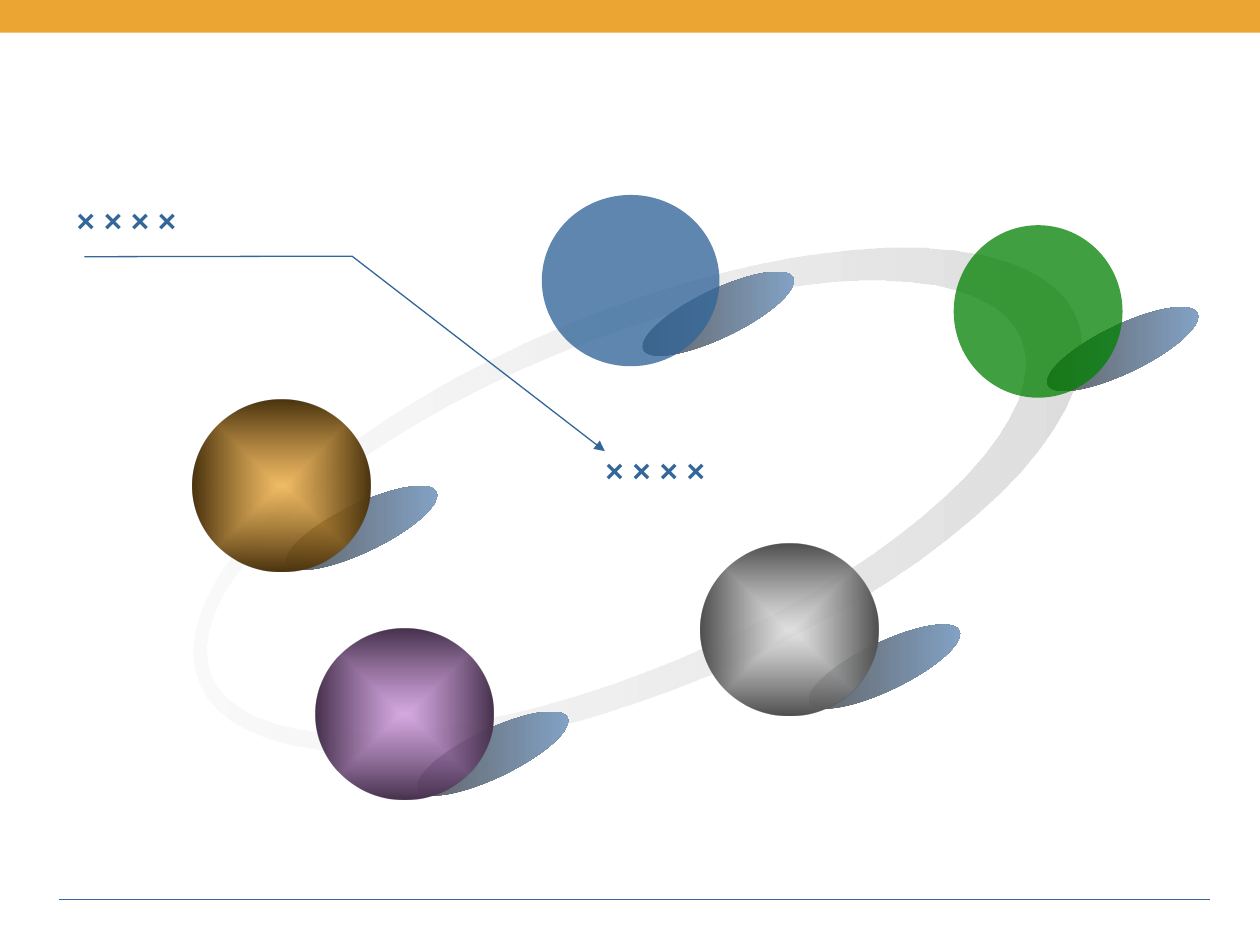
from math import cos, radians, sin

from lxml import etree
from pptx import Presentation
from pptx.dml.color import RGBColor
from pptx.enum.shapes import MSO_CONNECTOR, MSO_SHAPE
from pptx.enum.text import MSO_AUTO_SIZE, PP_ALIGN
from pptx.oxml.ns import qn
from pptx.util import Pt

RECTANGLE = MSO_SHAPE.RECTANGLE
OVAL = MSO_SHAPE.OVAL
STRAIGHT = MSO_CONNECTOR.STRAIGHT
LEFT = PP_ALIGN.LEFT
CENTER = PP_ALIGN.CENTER
FIT_SHAPE = MSO_AUTO_SIZE.SHAPE_TO_FIT_TEXT

COLORS = {
    "band": "EBA533", "blue": "336699", "green": "008000",
    "ring_light": "F1F1F1", "ring_dark": "DDDDDD",
    "shadow_dark": "5F5F5F", "shadow_light": "84A5CA",
    "gold": "EBA533", "gold_dark": "4A3410",
    "purple": "C78DD7", "purple_dark": "47324D",
    "silver": "DDDDDD", "silver_dark": "4F4F4F",
}
RING_TILT = 22.6
SHADOW_TILT = 25.7
SPHERE_SIZE = (101.5, 97.9)


def rgb(name):
    return RGBColor.from_string(COLORS[name])


def clear_outline(shape):
    shape.shadow.inherit = False
    shape.line.fill.background()


def set_first_alpha(shape, percent):
    color = next(shape._element.spPr.iter(qn("a:srgbClr")))
    etree.SubElement(color, qn("a:alpha")).set("val", str(percent * 1000))


def fill_solid(shape, color):
    shape.fill.solid()
    shape.fill.fore_color.rgb = rgb(color)


def fill_gradient(shape, start, end, angle=0):
    shape.fill.gradient()
    shape.fill.gradient_angle = (360 - angle) % 360
    for stop, color, position in zip(shape.fill.gradient_stops, (start, end), (0, 1)):
        stop.color.rgb = rgb(color)
        stop.position = position


def center_gradient(shape):
    gradient = shape._element.spPr.find(qn("a:gradFill"))
    linear = gradient.find(qn("a:lin"))
    focus = etree.Element(qn("a:path"), path="rect")
    etree.SubElement(focus, qn("a:fillToRect"), l="50000", t="50000", r="50000", b="50000")
    gradient.replace(linear, focus)


def add_plain(slide, kind, left, top, width, height):
    shape = slide.shapes.add_shape(kind, Pt(left), Pt(top), Pt(width), Pt(height))
    clear_outline(shape)
    return shape


def ellipse_points(center_x, center_y, radius_x, radius_y):
    return [(Pt(center_x + radius_x * cos(radians(angle))),
             Pt(center_y + radius_y * sin(radians(angle)))) for angle in range(0, 360, 5)]


def add_ring(slide):
    outer = ellipse_points(364.3, 285.8, 271.4, 108)
    inner = ellipse_points(351.5, 284.7, 250.5, 93.5)
    builder = slide.shapes.build_freeform(*outer[0])
    builder.add_line_segments(outer[1:], close=True)
    builder.move_to(*inner[0])
    builder.add_line_segments(inner[1:], close=True)
    ring = builder.convert_to_shape()
    clear_outline(ring)
    fill_gradient(ring, "ring_light", "ring_dark", RING_TILT)
    set_first_alpha(ring, 36)
    ring.rotation = 360 - RING_TILT


def add_shadow(slide, left, top):
    shadow = add_plain(slide, OVAL, left, top, 95, 27.4)
    fill_gradient(shadow, "shadow_dark", "shadow_light", SHADOW_TILT)
    shadow.rotation = 360 - SHADOW_TILT


def add_flat_sphere(slide, left, top, color, alpha, size=SPHERE_SIZE):
    sphere = add_plain(slide, OVAL, left, top, *size)
    fill_solid(sphere, color)
    set_first_alpha(sphere, alpha)


def add_shaded_sphere(slide, left, top, color):
    sphere = add_plain(slide, OVAL, left, top, *SPHERE_SIZE)
    fill_gradient(sphere, color, color + "_dark")
    center_gradient(sphere)
    set_first_alpha(sphere, 75)


def add_line(slide, start, end, arrow=False):
    line = slide.shapes.add_connector(STRAIGHT, *map(Pt, start + end))
    line.line.color.rgb = rgb("blue")
    line.line.width = Pt(0.75)
    if arrow:
        etree.SubElement(line.line._get_or_add_ln(), qn("a:tailEnd"), type="triangle")
    etree.SubElement(line._element.spPr, qn("a:effectLst"))


def add_label(slide, text, left, top, width, align):
    label = slide.shapes.add_textbox(Pt(left), Pt(top), Pt(width), Pt(28.8))
    label.text_frame.word_wrap = True
    label.text_frame.auto_size = FIT_SHAPE
    paragraph = label.text_frame.paragraphs[0]
    paragraph.text = text
    paragraph.alignment = align
    paragraph.font.name = "Arial"
    paragraph.font.size = Pt(18)
    paragraph.font.bold = True
    paragraph.font.color.rgb = rgb("blue")


def main():
    deck = Presentation()
    deck.slide_width, deck.slide_height = Pt(720), Pt(540)
    slide = deck.slides.add_slide(deck.slide_layouts[6])

    fill_solid(add_plain(slide, RECTANGLE, 0, 0, 720, 18.7), "band")
    add_line(slide, (33.8, 513.9), (691.2, 513.9))

    add_ring(slide)
    for left, top in ((362.9, 165.6), (594, 185.8), (234, 416.9),
                      (457.9, 367.2), (159.1, 288)):
        add_shadow(slide, left, top)
    add_flat_sphere(slide, 309.6, 111.4, "blue", 79)
    for left, top, color in ((110, 228.6, "gold"), (180.2, 359.1, "purple"),
                             (400.3, 310.9, "silver")):
        add_shaded_sphere(slide, left, top, color)
    add_flat_sphere(slide, 545, 128.7, "green", 75, (96.5, 98.6))

    add_label(slide, "× × × × ", 274.3, 254.2, 205.2, CENTER)
    add_line(slide, (201.2, 146.4), (345.6, 257.8), arrow=True)
    add_line(slide, (201.2, 146.4), (48.2, 146.7))
    add_label(slide, "× × × ×", 36.7, 111.6, 183.6, LEFT)

    deck.save("out.pptx")


if __name__ == "__main__":
    main()
